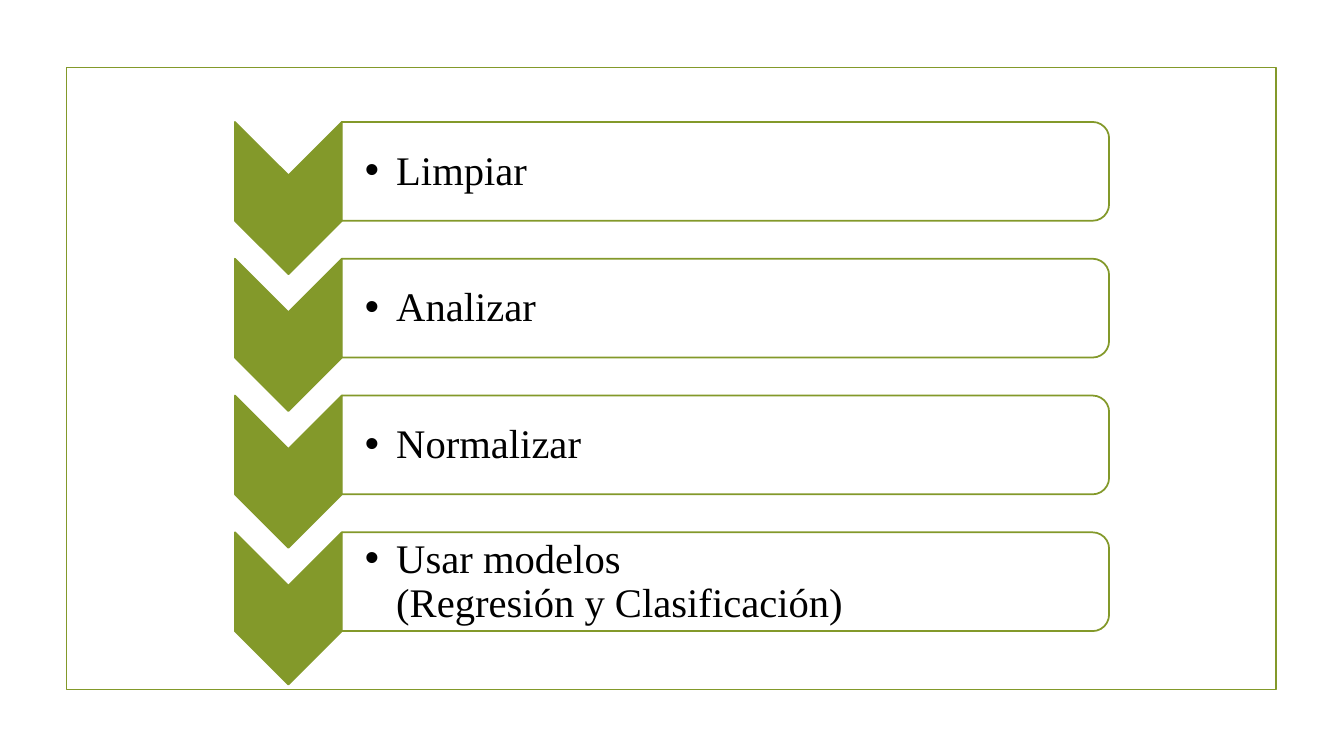
from lxml import etree
from pptx import Presentation
from pptx.dml.color import RGBColor
from pptx.enum.shapes import MSO_SHAPE as SHAPE
from pptx.enum.text import MSO_ANCHOR as ANCHOR, PP_ALIGN as ALIGN
from pptx.oxml.ns import qn
from pptx.util import Inches, Pt

GREEN = RGBColor(0x83, 0x99, 0x2A)
WHITE = RGBColor(0xFF, 0xFF, 0xFF)
BLACK = RGBColor(0, 0, 0)

STEPS = [
    "Limpiar",
    "Analizar",
    "Normalizar",
    "Usar modelos\n(Regresión y Clasificación)",
]
FIRST_TOP = 1.21
STEP_PITCH = 1.357


class StepSlide:
    font = "Times New Roman"
    size = Pt(29)
    line_width = Pt(1.25)

    def __init__(self, prs):
        self.slide = prs.slides.add_slide(prs.slide_layouts[6])

    def shape(self, kind, left, top, width, height, fill=None, rotation=0):
        sp = self.slide.shapes.add_shape(
            kind, Inches(left), Inches(top), Inches(width), Inches(height))
        sp.shadow.inherit = False
        sp.rotation = rotation
        sp.line.color.rgb = GREEN
        sp.line.width = self.line_width
        if fill is None:
            sp.fill.background()
        else:
            sp.fill.solid()
            sp.fill.fore_color.rgb = fill
        return sp

    def turned(self, kind, left, top, width, height, fill):
        """Add a shape turned 90 degrees that covers the given area."""
        shift = (width - height) / 2
        return self.shape(kind, left + shift, top - shift, height, width,
                          fill, rotation=90)

    def chevron(self, top):
        sp = self.turned(SHAPE.CHEVRON, 2.33, top, 1.06, 1.51, GREEN)
        sp.adjustments[0] = 0.5

    def panel(self, top):
        sp = self.turned(SHAPE.ROUND_2_SAME_RECTANGLE, 3.39, top, 7.61, 0.98,
                         WHITE)
        color = sp.fill._xPr.find(qn("a:solidFill"))[0]
        etree.SubElement(color, qn("a:alpha"), val="90000")

    def bullet(self, top, text):
        box = self.slide.shapes.add_textbox(
            Inches(3.39), Inches(top), Inches(7.56), Inches(0.89))
        tf = box.text_frame
        tf.word_wrap = True
        tf.vertical_anchor = ANCHOR.MIDDLE
        tf.margin_left = Inches(0.23)
        tf.margin_top = tf.margin_right = tf.margin_bottom = Inches(0.02)
        p = tf.paragraphs[0]
        p.text = text
        p.level = 1
        p.alignment = ALIGN.LEFT
        p.line_spacing = 0.9
        pPr = p._p.get_or_add_pPr()
        pPr.set("marL", str(Inches(0.31)))
        pPr.set("indent", str(-Inches(0.31)))
        etree.SubElement(pPr, qn("a:buFont"), typeface="Arial")
        etree.SubElement(pPr, qn("a:buChar"), char="•")
        for r in p.runs:
            r.font.name = self.font
            r.font.size = self.size
            r.font.color.rgb = BLACK


def main():
    prs = Presentation()
    prs.slide_width = Inches(13.33)
    prs.slide_height = Inches(7.5)
    s = StepSlide(prs)
    s.shape(SHAPE.RECTANGLE, 0.66, 0.67, 12, 6.17)
    for i, step in enumerate(STEPS):
        top = FIRST_TOP + i * STEP_PITCH
        s.chevron(top)
        s.panel(top)
        s.bullet(top + 0.05, step)
    prs.save("out.pptx")


if __name__ == "__main__":
    main()
